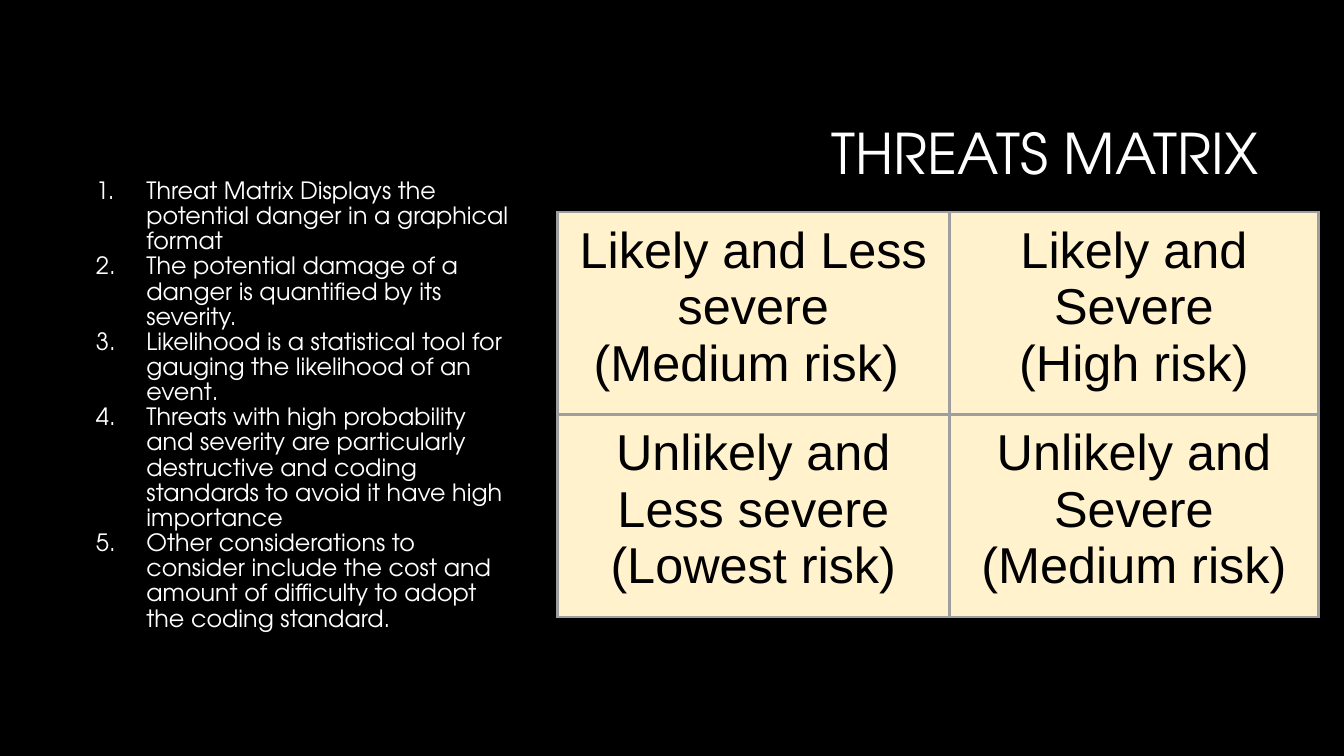
from dataclasses import dataclass

from lxml.etree import SubElement
from pptx import Presentation
from pptx.dml.color import RGBColor as RGB
from pptx.enum.text import MSO_ANCHOR as ANCHOR, MSO_AUTO_SIZE as AUTO, PP_ALIGN as ALIGN
from pptx.oxml import parse_xml
from pptx.oxml.ns import nsdecls, qn
from pptx.util import Pt

PX = 9525  # EMU per px, 96 px to the inch


@dataclass(frozen=True)
class Theme:
    back: str = "000000"
    light: str = "FFFFFF"
    dark: str = "000000"
    cell: str = "FFF2CC"
    border: str = "9E9E9E"
    head_font: str = "TeX Gyre Adventor"
    cell_font: str = "Arial"
    title_size: int = 40
    list_size: int = 17
    cell_size: int = 36
    border_width: float = 2.25


THEME = Theme()

POINTS = [
    "Threat Matrix Displays the potential danger in a graphical format",
    "The potential damage of a danger is quantified by its severity.",
    "Likelihood is a statistical tool for gauging the likelihood of an event.",
    "Threats with high probability and severity are particularly destructive "
    "and coding standards to avoid it have high importance",
    "Other considerations to consider include the cost and amount of "
    "difficulty to adopt the coding standard.",
]
MATRIX = [
    ["Likely and Less severe\n(Medium risk) ", "Likely and Severe\n(High risk)"],
    ["Unlikely and Less severe\n(Lowest risk)", "Unlikely and Severe\n(Medium risk)"],
]
COLUMN_WIDTHS = [373, 352]
ROW_HEIGHT = 183


def style(p, font, size, color):
    p.font.name = font
    p.font.size = Pt(size)
    p.font.color.rgb = RGB.from_string(color)


def add_borders(cell):
    tc_pr = cell._tc.get_or_add_tcPr()
    for i, side in enumerate(("lnL", "lnR", "lnT", "lnB")):
        tc_pr.insert(i, parse_xml(
            f'<a:{side} {nsdecls("a")} w="{Pt(THEME.border_width)}"><a:solidFill>'
            f'<a:srgbClr val="{THEME.border}"/></a:solidFill></a:{side}>'))


prs = Presentation()
prs.slide_width, prs.slide_height = 1280 * PX, 720 * PX
s = prs.slides.add_slide(prs.slide_layouts[5])
s.background.fill.solid()
s.background.fill.fore_color.rgb = RGB.from_string(THEME.back)

# Title
title = s.shapes.title
title.left, title.top, title.width, title.height = (v * PX for v in (304, 81, 904, 135))
tf = title.text_frame
tf.text = "THREATS MATRIX"
tf.auto_size = AUTO.NONE
tf.vertical_anchor = ANCHOR.MIDDLE
p = tf.paragraphs[0]
p.alignment = ALIGN.RIGHT
p.line_spacing = 0.9
style(p, THEME.head_font, THEME.title_size, THEME.light)

# Numbered list
tf = s.shapes.add_textbox(*(v * PX for v in (58, 166, 446, 473))).text_frame
tf.word_wrap = True
tf.text = "\n".join(POINTS)
for p in tf.paragraphs:
    p.line_spacing = 0.88
    p_pr = p._p.get_or_add_pPr()
    p_pr.set("marL", str(72 * PX))
    p_pr.set("indent", str(-48 * PX))
    SubElement(SubElement(p_pr, qn("a:buClr")), qn("a:srgbClr"), val=THEME.light)
    SubElement(p_pr, qn("a:buFont"), typeface=THEME.head_font)
    SubElement(p_pr, qn("a:buAutoNum"), type="arabicPeriod")
    style(p, THEME.head_font, THEME.list_size, THEME.light)

# Risk matrix
table = s.shapes.add_table(
    len(MATRIX), len(COLUMN_WIDTHS), 531 * PX, 202 * PX,
    sum(COLUMN_WIDTHS) * PX, len(MATRIX) * ROW_HEIGHT * PX).table
table.first_row = table.horz_banding = False
for column, width in zip(table.columns, COLUMN_WIDTHS):
    column.width = width * PX
for i, row in enumerate(MATRIX):
    table.rows[i].height = ROW_HEIGHT * PX
    for j, text in enumerate(row):
        cell = table.cell(i, j)
        cell.text = text
        cell.margin_left = cell.margin_right = 10 * PX
        cell.margin_top = cell.margin_bottom = 10 * PX
        cell.fill.solid()
        cell.fill.fore_color.rgb = RGB.from_string(THEME.cell)
        add_borders(cell)
        for p in cell.text_frame.paragraphs:
            p.alignment = ALIGN.CENTER
            style(p, THEME.cell_font, THEME.cell_size, THEME.dark)

prs.save("out.pptx")
